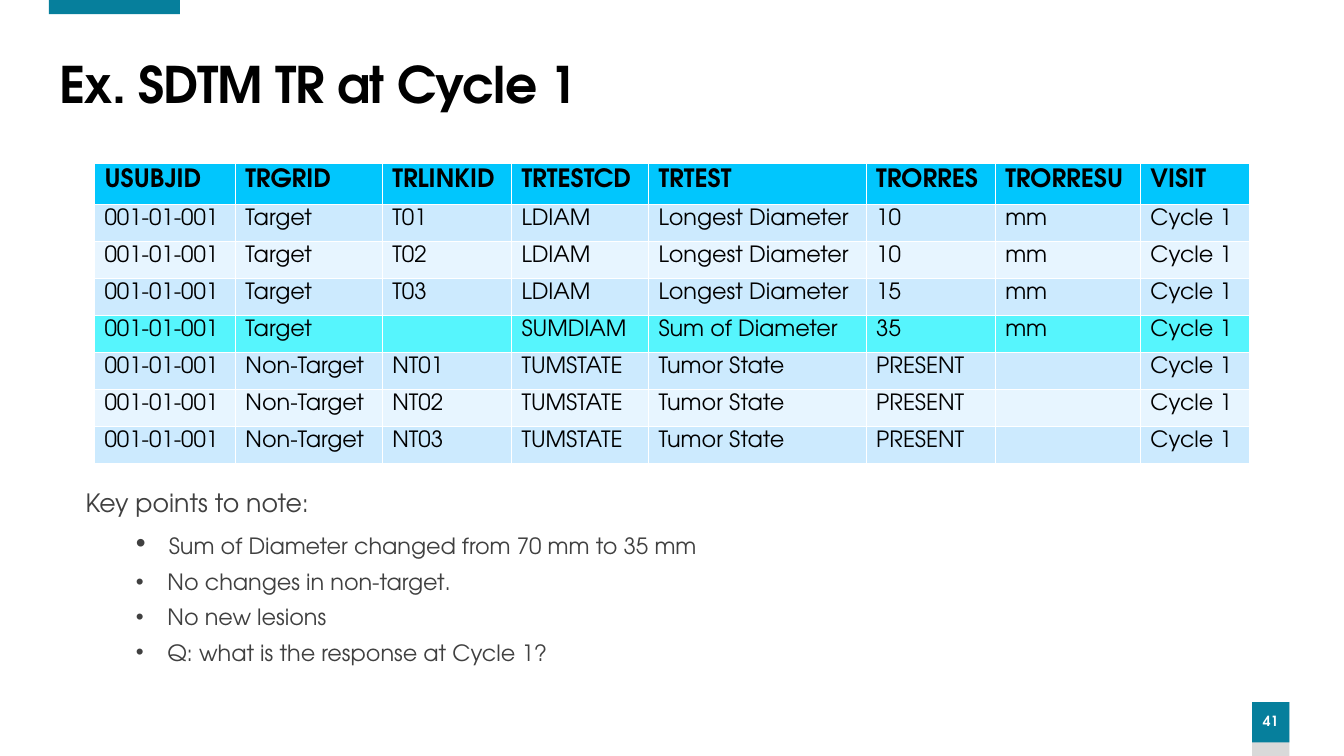
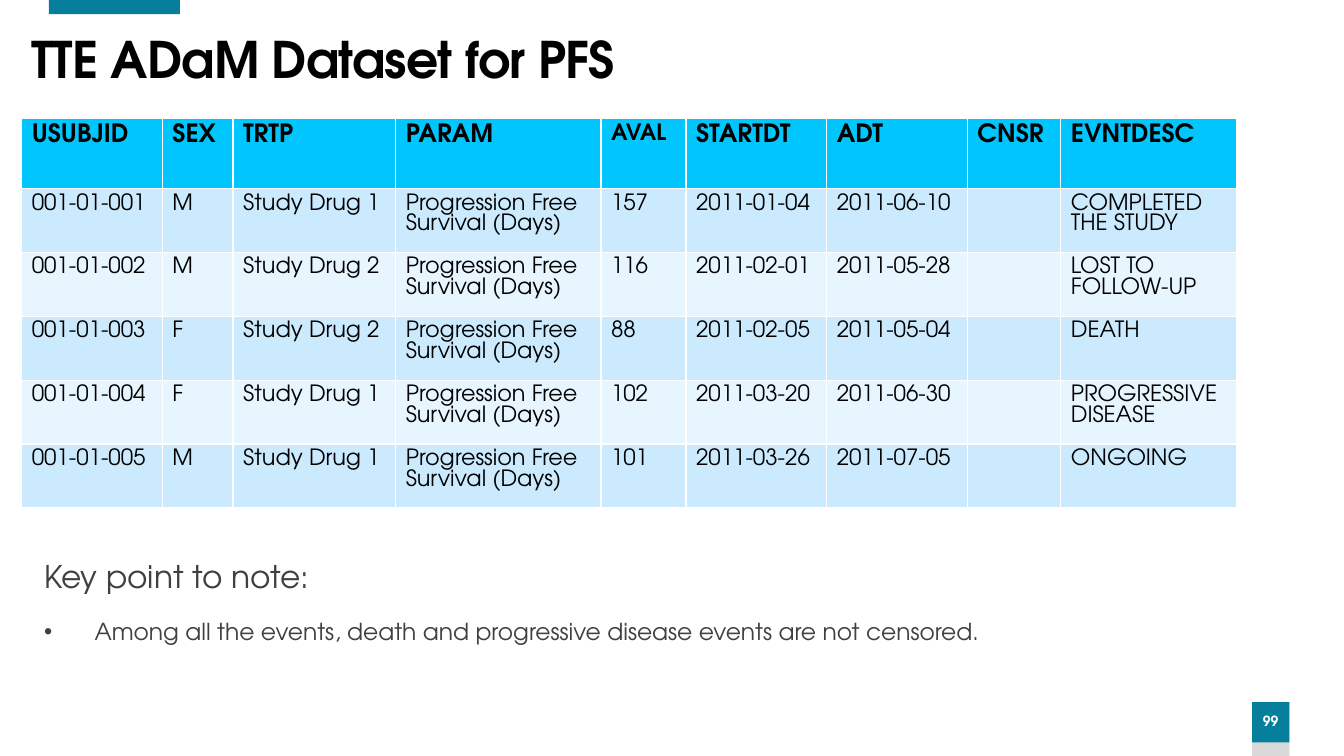
import lxml.etree
import pptx
import pptx.dml.color
import pptx.enum.shapes
import pptx.enum.text
import pptx.oxml.ns
import pptx.util

Pt = pptx.util.Pt
qn = pptx.oxml.ns.qn


def color(value):
    return pptx.dml.color.RGBColor.from_string(value)


class Slides:
    """Holds the deck's style and current page, and draws each kind of element."""

    FONT = "TeX Gyre Adventor"
    TEAL, GRAY, WHITE, BLACK, BODY = "067F9C", "D9D9D9", "FFFFFF", "000000", "404040"
    HEADER, BANDS, HIGHLIGHT = "01C6FD", ("CCEAFE", "E7F5FF"), "56F5FD"

    def __init__(self):
        self.deck = pptx.Presentation()
        self.deck.slide_width, self.deck.slide_height = Pt(960), Pt(540)
        self.page = None

    def add_page(self, number):
        self.page = self.deck.slides.add_slide(self.deck.slide_layouts[6])
        self.add_band(894.4, 501.6, 26.6, 38.4, self.GRAY)
        badge = self.add_band(894.4, 501.6, 26.6, 28.8, self.TEAL)
        self.add_band(35, 0, 93.6, 10.1, self.TEAL)
        frame = badge.text_frame
        frame.margin_left = frame.margin_right = 0
        frame.vertical_anchor = pptx.enum.text.MSO_ANCHOR.MIDDLE
        para = frame.paragraphs[0]
        para.alignment = pptx.enum.text.PP_ALIGN.CENTER
        para.line_spacing = 0.9
        self.add_span(para, number, 10, self.WHITE, True)

    def add_band(self, left, top, width, height, fill):
        band = self.page.shapes.add_shape(
            pptx.enum.shapes.MSO_SHAPE.RECTANGLE, Pt(left), Pt(top), Pt(width), Pt(height))
        band.shadow.inherit = False
        band.fill.solid()
        band.fill.fore_color.rgb = color(fill)
        band.line.fill.background()
        return band

    def add_span(self, para, text, size, fill, bold=False):
        span = para.add_run()
        span.text = text
        span.font.name = self.FONT
        span.font.size = Pt(size)
        span.font.bold = bold
        span.font.color.rgb = color(fill)
        return span

    def add_box(self, left, top, width, height):
        box = self.page.shapes.add_textbox(Pt(left), Pt(top), Pt(width), Pt(height))
        box.text_frame.word_wrap = True
        return box.text_frame

    def add_title(self, text, left, top, width, height):
        frame = self.add_box(left, top, width, height)
        frame.vertical_anchor = pptx.enum.text.MSO_ANCHOR.MIDDLE
        para = frame.paragraphs[0]
        para.line_spacing = 0.9
        span = self.add_span(para, text, 36, self.BLACK, True)
        span.font._element.set("spc", "-60")

    def add_notes_box(self, place, heading, points, margin, hanging,
                      level=0, spacing=1.0, before=0, after=6):
        frame = self.add_box(*place)
        for index, spans in enumerate([heading, *points]):
            para = frame.paragraphs[0] if index == 0 else frame.add_paragraph()
            para.line_spacing = spacing
            para.space_after = Pt(after)
            if index:
                para.space_before = Pt(before)
                para.level = level
                self.add_bullet(para, margin, hanging)
            for text, size in spans:
                self.add_span(para, text, size, self.BODY)

    def add_bullet(self, para, margin, hanging):
        properties = para._p.get_or_add_pPr()
        properties.set("marL", str(Pt(margin)))
        properties.set("indent", str(-Pt(hanging)))
        lxml.etree.SubElement(properties, qn("a:buFont"), typeface="Arial")
        lxml.etree.SubElement(properties, qn("a:buChar"), char="•")

    def add_table(self, left, top, widths, header_height, row_height, rows,
                  highlight=None, small_headers=()):
        heights = [header_height] + [row_height] * (len(rows) - 1)
        table = self.page.shapes.add_table(
            len(rows), len(widths), Pt(left), Pt(top), Pt(sum(widths)), Pt(sum(heights))).table
        for column, width in zip(table.columns, widths):
            column.width = Pt(width)
        for index, (values, height) in enumerate(zip(rows, heights)):
            table.rows[index].height = Pt(height)
            is_header = index == 0
            fill = self.HEADER if is_header else self.BANDS[(index - 1) % 2]
            if index == highlight:
                fill = self.HIGHLIGHT
            for cell, text in zip(table.rows[index].cells, values):
                size = 18 if is_header and text not in small_headers else 16
                self.fill_cell(cell, text, size, fill, is_header)

    def fill_cell(self, cell, text, size, fill, bold):
        cell.fill.solid()
        cell.fill.fore_color.rgb = color(fill)
        para = cell.text_frame.paragraphs[0]
        if text:
            self.add_span(para, text, size, self.BLACK, bold)
        else:
            cell.margin_top = cell.margin_bottom = 0
            para.line_spacing = Pt(10)
            lxml.etree.SubElement(para._p, qn("a:endParaRPr"), sz="1000")


def add_tumor_results(slides):
    slides.add_page("41")
    slides.add_title("Ex. SDTM TR at Cycle 1", 35.3, 39, 880, 46.8)
    points = [
        [(" ", 20), ("Sum of Diameter changed from 70 mm to 35 mm", 16)],
        [(" No changes in non-target.", 16)],
        [(" No new lesions", 16)],
        [(" Q: what is the response at Cycle 1?", 16)],
    ]
    slides.add_notes_box((54, 344.8, 588, 184.3), [("Key points to note:", 18)], points,
                         margin=54, hanging=18, level=1)
    target = [("Target", f"T0{number}", "LDIAM", "Longest Diameter", size, "mm")
              for number, size in enumerate(("10", "10", "15"), 1)]
    total = ("Target", "", "SUMDIAM", "Sum of Diameter", "35", "mm")
    non_target = [("Non-Target", f"NT0{number}", "TUMSTATE", "Tumor State", "PRESENT", "")
                  for number in range(1, 4)]
    header = ("USUBJID", "TRGRID", "TRLINKID", "TRTESTCD", "TRTEST",
              "TRORRES", "TRORRESU", "VISIT")
    rows = [header] + [("001-01-001", *result, "Cycle 1")
                       for result in (*target, total, *non_target)]
    slides.add_table(67.5, 116.8, (100.6, 105.1, 92.2, 97.9, 155.5, 92.2, 103.7, 77.8),
                     29.2, 22.1, rows, highlight=rows.index(("001-01-001", *total, "Cycle 1")))


def add_survival_dataset(slides):
    slides.add_page("99")
    slides.add_title("TTE ADaM Dataset for PFS", 15.4, 15.2, 741, 58.3)
    point = ("Among all the events, death and progressive disease events are not censored.", 16.7)
    slides.add_notes_box((24.5, 397.4, 820.8, 82), [("Key point to note:", 22.3)], [[point]],
                         margin=36, hanging=36, spacing=0.9, before=6, after=12)
    header = ("USUBJID", "SEX", "TRTP", "PARAM", "AVAL", "STARTDT", "ADT", "CNSR", "EVNTDESC")
    subjects = [
        ("M", 1, "157", "2011-01-04", "2011-06-10", "COMPLETED THE STUDY"),
        ("M", 2, "116", "2011-02-01", "2011-05-28", "LOST TO FOLLOW-UP"),
        ("F", 2, "88", "2011-02-05", "2011-05-04", "DEATH"),
        ("F", 1, "102", "2011-03-20", "2011-06-30", "PROGRESSIVE DISEASE"),
        ("M", 1, "101", "2011-03-26", "2011-07-05", "ONGOING"),
    ]
    rows = [header] + [
        (f"001-01-00{number}", sex, f"Study Drug {drug}", "Progression Free Survival (Days)",
         days, start, end, "", event)
        for number, (sex, drug, days, start, end, event) in enumerate(subjects, 1)]
    slides.add_table(15.5, 84.7, (100.5, 50.4, 116.3, 146.6, 60.8, 100.5, 100.5, 66.8, 125.7),
                     50, 37.1, rows, small_headers=("AVAL",))


def main():
    slides = Slides()
    add_tumor_results(slides)
    add_survival_dataset(slides)
    slides.deck.save("out.pptx")


if __name__ == "__main__":
    main()
